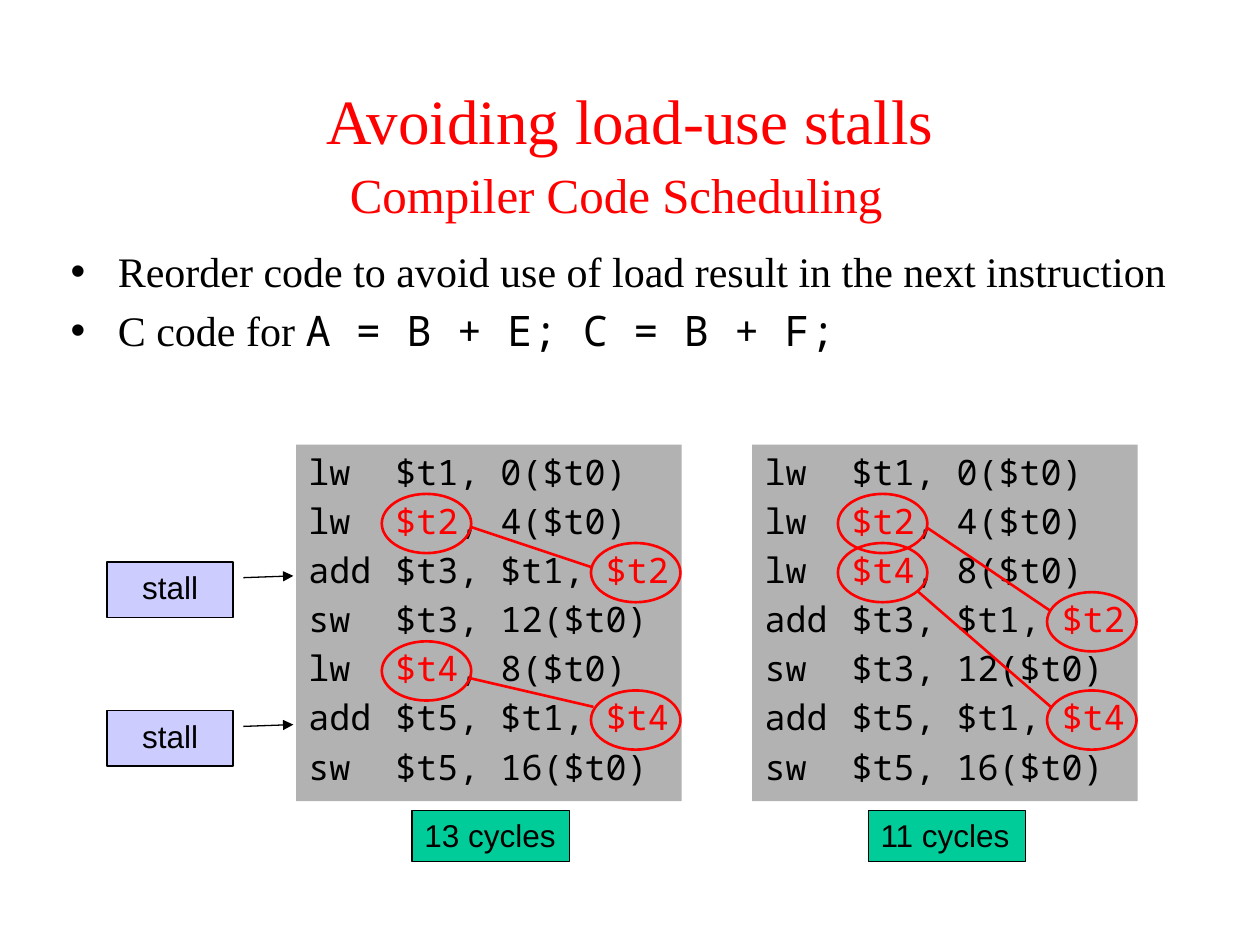
from dataclasses import dataclass

from lxml import etree
from pptx import Presentation
from pptx.dml import color
from pptx.enum import shapes, text
from pptx.oxml import ns
from pptx.util import Inches, Pt

COLORS = {
    "red": "FF0000", "black": "000000", "code": "B2B2B2",
    "stall": "CCCCFF", "cycles": "00CC99",
}
SERIF, MONO, SANS = "Times New Roman", "Noto Sans Mono", "Arial"
PANEL_TOP, LINE_PITCH = 3.53, 0.39
FIT_LABEL = {
    "word_wrap": False,
    "auto_size": text.MSO_AUTO_SIZE.SHAPE_TO_FIT_TEXT,
    "vertical_anchor": text.MSO_ANCHOR.TOP,
}
STALL_LABEL = {"word_wrap": True, "vertical_anchor": text.MSO_ANCHOR.TOP}


@dataclass
class Instruction:
    op: str
    operands: str
    marked: str = ""  # register involved in a load-use pair


@dataclass
class Panel:
    left: float
    cycles: str
    code: list[Instruction]
    links: list[tuple[float, float, float, float]]


LOAD_B = Instruction("lw", "$t1, 0($t0)")
LOAD_E = Instruction("lw", "$t2, 4($t0)", "$t2")
LOAD_F = Instruction("lw", "$t4, 8($t0)", "$t4")
ADD_A = Instruction("add", "$t3, $t1, $t2", "$t2")
ADD_C = Instruction("add", "$t5, $t1, $t4", "$t4")
STORE_A = Instruction("sw", "$t3, 12($t0)")
STORE_C = Instruction("sw", "$t5, 16($t0)")

PANELS = [
    Panel(2.35, "13 cycles",
          [LOAD_B, LOAD_E, ADD_A, STORE_A, LOAD_F, ADD_C, STORE_C],
          [(3.73, 4.18, 4.69, 4.5), (3.72, 5.38, 4.71, 5.61)]),
    Panel(5.97, "11 cycles",
          [LOAD_B, LOAD_E, LOAD_F, ADD_A, STORE_A, ADD_C, STORE_C],
          [(7.36, 4.19, 8.34, 4.85), (7.28, 4.69, 8.34, 5.61)]),
]
STALL_TOPS = [4.46, 5.64]


def rgb(name: str) -> color.RGBColor:
    return color.RGBColor.from_string(COLORS[name])


def apply(target, values: dict) -> None:
    for name, value in values.items():
        setattr(target, name, value)


def add_run(paragraph, words: str, font: str, size: float, ink: str = "black") -> None:
    run = paragraph.add_run()
    run.text = words
    apply(run.font, {"name": font, "size": Pt(size)})
    run.font.color.rgb = rgb(ink)


def place(shape, left: float, top: float, width: float, height: float) -> None:
    apply(shape, {"left": Inches(left), "top": Inches(top),
                  "width": Inches(width), "height": Inches(height)})


def add_box(slide, kind, box: tuple, fill: str = "", line: str = "", width: float = 0.75):
    shape = slide.shapes.add_shape(kind, *map(Inches, box))
    shape.shadow.inherit = False
    if fill:
        shape.fill.solid()
        shape.fill.fore_color.rgb = rgb(fill)
    else:
        shape.fill.background()
    if line:
        shape.line.color.rgb = rgb(line)
        shape.line.width = Pt(width)
    else:
        shape.line.fill.background()
    return shape


def format_code_line(paragraph) -> None:
    """Space lines by 20% and set the operand tab stop."""
    paragraph.alignment = text.PP_ALIGN.LEFT
    props = paragraph._p.get_or_add_pPr()
    before = etree.SubElement(props, ns.qn("a:spcBef"))
    etree.SubElement(before, ns.qn("a:spcPct"), val="20000")
    tabs = etree.SubElement(props, ns.qn("a:tabLst"))
    etree.SubElement(tabs, ns.qn("a:tab"), pos=str(Inches(0.69)), algn="l")


def draw_code(slide, panel: Panel) -> None:
    box = add_box(slide, shapes.MSO_SHAPE.RECTANGLE, (panel.left, PANEL_TOP, 3.06, 2.83), "code")
    frame = box.text_frame
    apply(frame, FIT_LABEL)
    for row, step in enumerate(panel.code):
        paragraph = frame.add_paragraph() if row else frame.paragraphs[0]
        format_code_line(paragraph)
        before, mark, after = (step.operands.partition(step.marked) if step.marked
                               else (step.operands, "", ""))
        add_run(paragraph, f"{step.op}\t{before}", MONO, 20)
        if mark:
            add_run(paragraph, mark, MONO, 20, "red")
        if after:
            add_run(paragraph, after, MONO, 20)


def draw_dependences(slide, panel: Panel) -> None:
    for row, step in enumerate(panel.code):
        if step.marked:
            offset = 0.68 if step.operands.startswith(step.marked) else 2.34
            top = PANEL_TOP + LINE_PITCH * row
            add_box(slide, shapes.MSO_SHAPE.OVAL,
                    (panel.left + offset, top, 0.71, 0.47), line="red", width=1.5)
    for ends in panel.links:
        link = slide.shapes.add_connector(shapes.MSO_CONNECTOR.STRAIGHT, *map(Inches, ends))
        link.line.color.rgb = rgb("red")
        link.line.width = Pt(1.5)
        etree.SubElement(link._element.spPr, ns.qn("a:effectLst"))


def draw_cycles(slide, panel: Panel) -> None:
    label = add_box(slide, shapes.MSO_SHAPE.RECTANGLE,
                    (panel.left + 0.92, 6.43, 1.25, 0.41), "cycles", "black")
    apply(label.text_frame, FIT_LABEL)
    paragraph = label.text_frame.paragraphs[0]
    paragraph.alignment = text.PP_ALIGN.LEFT
    add_run(paragraph, panel.cycles, SANS, 18)


def draw_stall(slide, top: float) -> None:
    callout = add_box(slide, shapes.MSO_SHAPE.LINE_CALLOUT_1,
                      (0.85, top, 1, 0.44), "stall", "black")
    for index, value in enumerate([0.285, 1.083, 0.253, 1.479]):
        callout.adjustments[index] = value
    etree.SubElement(callout.line._get_or_add_ln(), ns.qn("a:tailEnd"), type="triangle")
    apply(callout.text_frame, STALL_LABEL)
    paragraph = callout.text_frame.paragraphs[0]
    paragraph.alignment = text.PP_ALIGN.CENTER
    add_run(paragraph, "stall", SANS, 18)


def main() -> None:
    deck = Presentation()
    apply(deck, {"slide_width": Inches(10), "slide_height": Inches(7.5)})
    slide = deck.slides.add_slide(deck.slide_layouts[1])

    # Title and subtitle
    heading, body = slide.placeholders
    place(heading, 0.75, 0.67, 8.5, 1.08)
    title = heading.text_frame.paragraphs[0]
    add_run(title, "Avoiding load-use stalls", SERIF, 36, "red")
    subtitle = heading.text_frame.add_paragraph()
    subtitle.space_before = Pt(4)
    subtitle._p.get_or_add_pPr().set("marR", str(Inches(0.22)))
    add_run(subtitle, "Compiler Code Scheduling", SERIF, 28, "red")

    # Bullets
    place(body, 0.46, 1.9, 9.17, 1.08)
    advice = body.text_frame.paragraphs[0]
    add_run(advice, "Reorder code to avoid use of load result in the next instruction", SERIF, 24)
    example = body.text_frame.add_paragraph()
    add_run(example, "C code for ", SERIF, 24)
    add_run(example, "A = B + E; C = B + F;", MONO, 24)

    # Code before and after scheduling
    for panel in PANELS:
        draw_code(slide, panel)
    for top in STALL_TOPS:
        draw_stall(slide, top)
    for panel in PANELS:
        draw_dependences(slide, panel)
        draw_cycles(slide, panel)

    deck.save("out.pptx")


if __name__ == "__main__":
    main()
